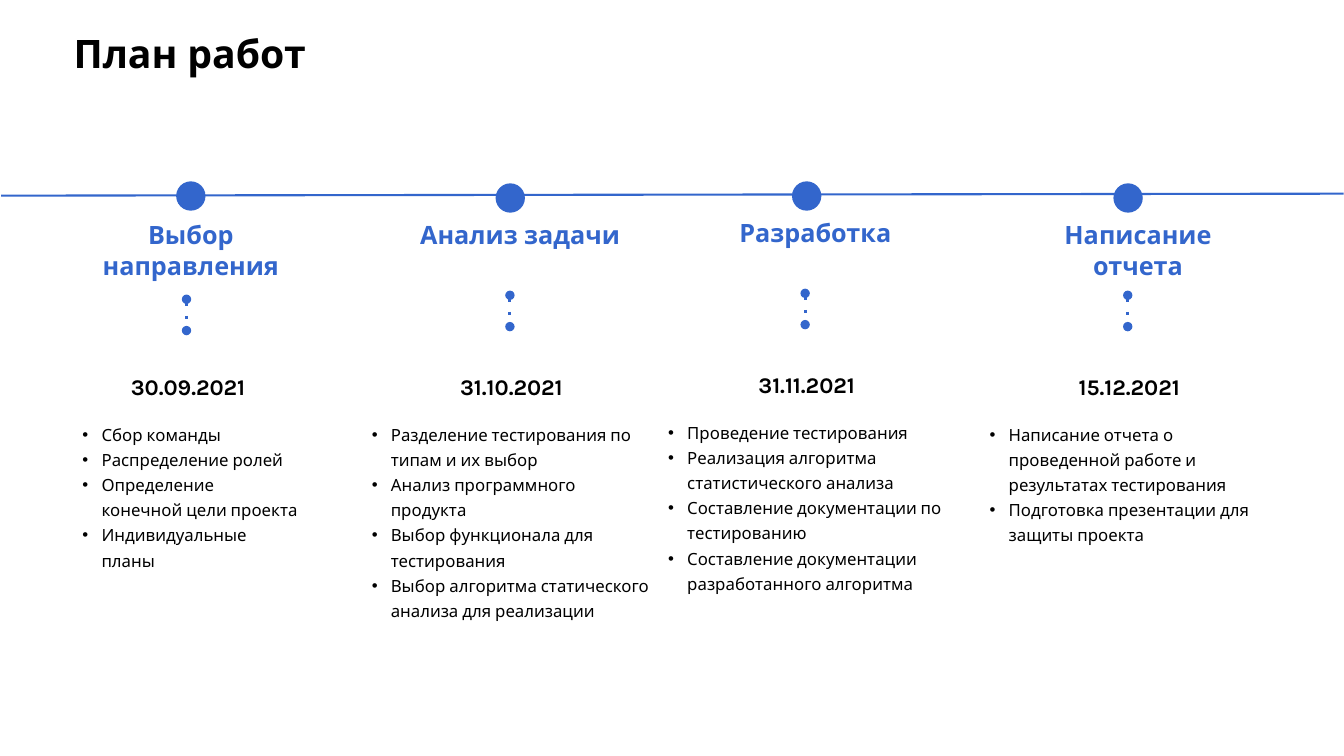
from dataclasses import dataclass

from lxml.etree import SubElement
from pptx import Presentation
from pptx.dml.color import RGBColor
from pptx.enum.shapes import MSO_CONNECTOR, MSO_SHAPE
from pptx.enum.text import MSO_ANCHOR, MSO_AUTO_SIZE, PP_ALIGN
from pptx.oxml.ns import qn
from pptx.util import Cm, Pt

BLUE = RGBColor(0x33, 0x66, 0xCC)
BLACK = RGBColor(0, 0, 0)
WHITE = RGBColor(0xFF, 0xFF, 0xFF)
FONT = "Karla"


@dataclass
class Stage:
    """One column of the timeline; all lengths are in centimetres."""
    heading: str
    date: str
    tasks: list
    marker_center: float
    marker_top: float
    heading_center: float
    heading_width: float
    heading_top: float
    date_center: float
    link_top: float
    tasks_left: float
    tasks_width: float
    tasks_height: float


TITLE = "План работ"
STAGES = [
    Stage("Выбор направления", "30.09.2021",
          ["Сбор команды", "Распределение ролей",
           "Определение конечной цели проекта", "Индивидуальные планы"],
          4.81, 4.57, 4.81, 7.04, 5.41, 4.74, 7.54, 1.83, 5.94, 3.45),
    Stage("Анализ задачи", "31.10.2021",
          ["Разделение тестирования по типам и их выбор",
           "Анализ программного продукта",
           "Выбор функционала для тестирования",
           "Выбор алгоритма статического анализа для реализации"],
          12.86, 4.62, 13.11, 6.2, 5.41, 12.89, 7.44, 9.12, 7.54, 4.75),
    Stage("Разработка", "31.11.2021",
          ["Проведение тестирования",
           "Реализация алгоритма статистического анализа",
           "Составление документации по тестированию",
           "Составление документации разработанного алгоритма"],
          20.33, 4.57, 20.55, 6.2, 5.36, 20.33, 7.39, 16.59, 7.54, 6.68),
    Stage("Написание отчета", "15.12.2021",
          ["Написание отчета о проведенной работе и результатах тестирования",
           "Подготовка презентации для защиты проекта"],
          28.43, 4.62, 28.68, 6.2, 5.41, 28.46, 7.44, 24.69, 7.54, 3.45),
]

MARKER_SIZE = 0.74
LINK_LENGTH = 0.79
LINK_SHIFT = -0.04
DATE_WIDTH = 4.65
DATE_DROP = 3.86
TASKS_DROP = 5.03
BULLET_INDENT = Cm(0.48)


def add_run(paragraph, text, size, color, bold=False):
    run = paragraph.add_run()
    run.text = text
    run.font.name = FONT
    run.font.size = Pt(size)
    run.font.bold = bold
    run.font.color.rgb = color


def add_text_frame(slide, left, top, width, height):
    frame = slide.shapes.add_textbox(
        Cm(left), Cm(top), Cm(width), Cm(height)).text_frame
    frame.word_wrap = True
    frame.auto_size = MSO_AUTO_SIZE.SHAPE_TO_FIT_TEXT
    return frame


def add_label(slide, text, center, top, width, height, size, color):
    frame = add_text_frame(slide, center - width / 2, top, width, height)
    paragraph = frame.paragraphs[0]
    paragraph.alignment = PP_ALIGN.CENTER
    add_run(paragraph, text, size, color, bold=True)


def add_line(slide, start, end, width):
    connector = slide.shapes.add_connector(
        MSO_CONNECTOR.STRAIGHT, *map(Cm, start + end))
    connector.line.color.rgb = BLUE
    connector.line.width = Pt(width)
    SubElement(connector._element.spPr, qn("a:effectLst"))
    return connector


def add_dotted_link(slide, x, top):
    """Draw a dotted vertical line with a round end at each side."""
    link = add_line(slide, (x, top), (x, top + LINK_LENGTH), 2.25)
    outline = link.line._get_or_add_ln()
    SubElement(outline, qn("a:prstDash"), val="dot")
    for end in ("a:headEnd", "a:tailEnd"):
        SubElement(outline, qn(end), type="oval")


def add_marker(slide, center, top):
    marker = slide.shapes.add_shape(
        MSO_SHAPE.OVAL, Cm(center - MARKER_SIZE / 2), Cm(top),
        Cm(MARKER_SIZE), Cm(MARKER_SIZE))
    marker.shadow.inherit = False
    marker.fill.solid()
    marker.fill.fore_color.rgb = BLUE
    marker.line.fill.background()


def add_bullet(paragraph):
    properties = paragraph._p.get_or_add_pPr()
    properties.set("marL", str(BULLET_INDENT))
    properties.set("indent", str(-BULLET_INDENT))
    bullet_color = SubElement(properties, qn("a:buClr"))
    SubElement(bullet_color, qn("a:srgbClr"), val=str(BLACK))
    SubElement(properties, qn("a:buFont"), typeface="Arial")
    SubElement(properties, qn("a:buChar"), char="•")


def add_tasks(slide, stage):
    frame = add_text_frame(slide, stage.tasks_left, stage.heading_top + TASKS_DROP,
                           stage.tasks_width, stage.tasks_height)
    for index, task in enumerate(stage.tasks):
        paragraph = frame.add_paragraph() if index else frame.paragraphs[0]
        paragraph.line_spacing = 1.25
        add_bullet(paragraph)
        add_run(paragraph, task, 12, BLACK)


def add_title(slide):
    title = slide.shapes.title
    title.left, title.top = Cm(1.6), Cm(0.56)
    title.width, title.height = Cm(29.21), Cm(1.68)
    frame = title.text_frame
    frame.word_wrap = True
    frame.auto_size = MSO_AUTO_SIZE.NONE
    frame.vertical_anchor = MSO_ANCHOR.MIDDLE
    paragraph = frame.paragraphs[0]
    paragraph.alignment = PP_ALIGN.LEFT
    paragraph.line_spacing = 0.9
    add_run(paragraph, TITLE, 28, BLACK, bold=True)


def add_stage(slide, stage):
    add_marker(slide, stage.marker_center, stage.marker_top)
    add_label(slide, stage.heading, stage.heading_center, stage.heading_top,
              stage.heading_width, 1.02, 18, BLUE)
    add_dotted_link(slide, stage.date_center + LINK_SHIFT, stage.link_top)
    add_label(slide, stage.date, stage.date_center,
              stage.heading_top + DATE_DROP, DATE_WIDTH, 0.94, 16, BLACK)
    add_tasks(slide, stage)


def main():
    presentation = Presentation()
    presentation.slide_width, presentation.slide_height = Cm(33.87), Cm(19.05)
    slide = presentation.slides.add_slide(presentation.slide_layouts[5])
    slide.background.fill.solid()
    slide.background.fill.fore_color.rgb = WHITE
    add_title(slide)
    add_line(slide, (0.03, 4.93), (33.86, 4.88), 1.5)
    for stage in STAGES:
        add_stage(slide, stage)
    presentation.save("out.pptx")


if __name__ == "__main__":
    main()
